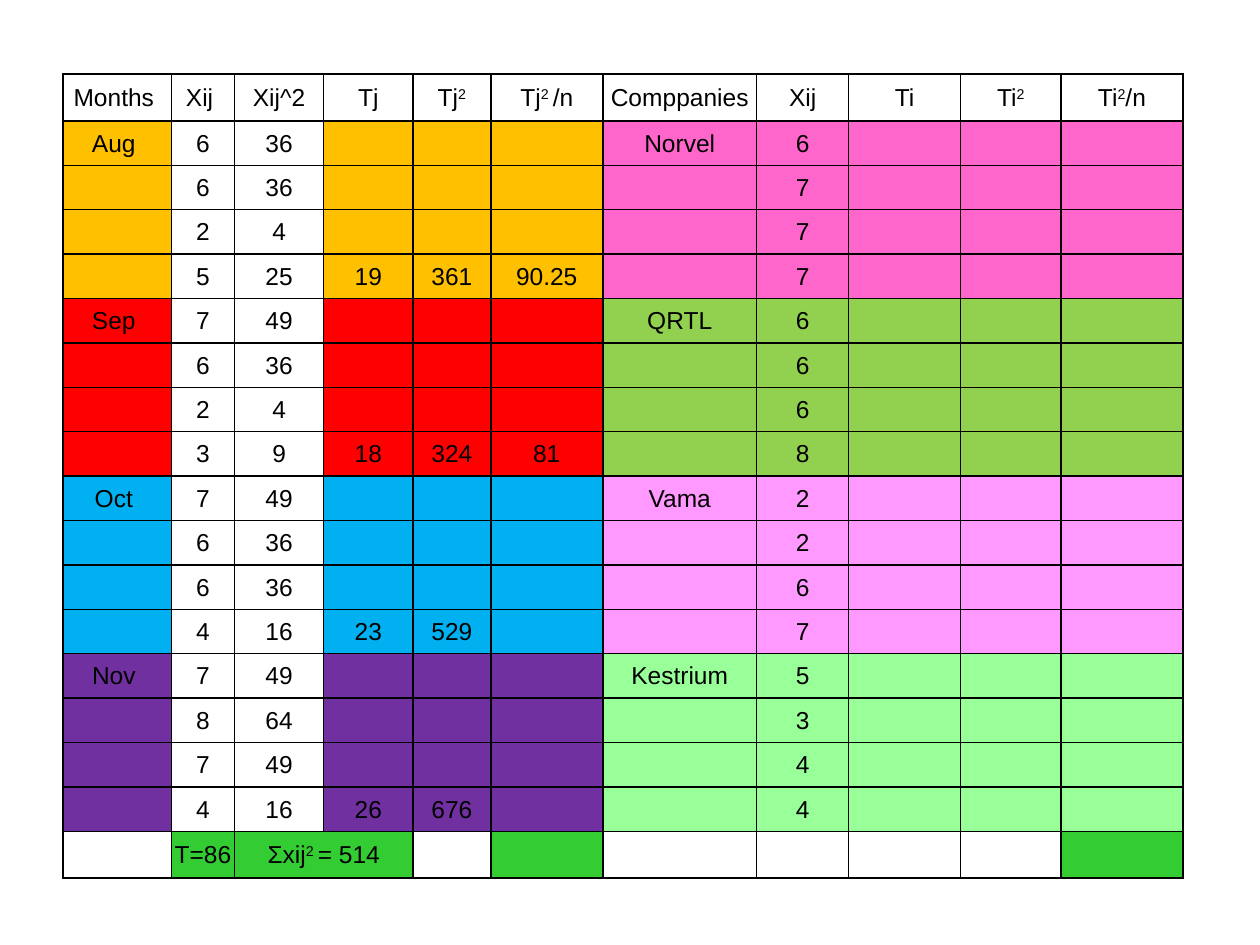
"""Build the slide with the variance table of months and companies."""
from dataclasses import dataclass
from typing import Optional

import lxml.etree
import pptx
import pptx.dml.color
import pptx.enum.text
import pptx.oxml.ns
import pptx.table
import pptx.util

Pt = pptx.util.Pt
BLACK, WHITE, GREEN = "000000", "FFFFFF", "33CC33"
COLUMN_WIDTHS = [62, 36, 51, 51, 44.5, 64, 88, 52.5, 64, 57.5, 69.5]
END_ROW_HEIGHT, BODY_ROW_HEIGHT = 26.7, 25.38
HEADINGS = ["Months ", "Xij ", "Xij^2", "Tj", "Tj|2", "Tj|2 |/n",
            "Comppanies", "Xij", "Ti", "Ti|2", "Ti|2|/n"]
TOTALS = ["", "T=86", "Σxij|2 |= 514"] + [""] * 8
TOTAL_FILLS = [None, GREEN, GREEN, GREEN, None, GREEN,
               None, WHITE, WHITE, WHITE, GREEN]


@dataclass
class Block:
    """One month beside one company, four observations each."""
    month: str
    month_color: str
    month_values: list[int]
    month_totals: list[str]
    company: str
    company_color: str
    company_values: list[int]


BLOCKS = [
    Block("Aug ", "FFC000", [6, 6, 2, 5], ["19", "361", "90.25"],
          "Norvel", "FF66CC", [6, 7, 7, 7]),
    Block("Sep ", "FF0000", [7, 6, 2, 3], ["18", "324", "81"],
          "QRTL", "92D050", [6, 6, 6, 8]),
    Block("Oct ", "00B0F0", [7, 6, 6, 4], ["23", "529", ""],
          "Vama", "FF99FF", [2, 2, 6, 7]),
    Block("Nov ", "7030A0", [7, 8, 7, 4], ["26", "676", ""],
          "Kestrium", "99FF99", [5, 3, 4, 4]),
]


def rgb(color: str) -> pptx.dml.color.RGBColor:
    """Turn a hex string into a colour."""
    return pptx.dml.color.RGBColor.from_string(color)


def add_borders(cell: pptx.table._Cell) -> None:
    """Draw a thin black line on each side of a cell."""
    properties = cell._tc.get_or_add_tcPr()
    for index, side in enumerate(("lnL", "lnR", "lnT", "lnB")):
        line = lxml.etree.Element(pptx.oxml.ns.qn(f"a:{side}"), w=str(Pt(1)))
        fill = lxml.etree.SubElement(line, pptx.oxml.ns.qn("a:solidFill"))
        lxml.etree.SubElement(fill, pptx.oxml.ns.qn("a:srgbClr"), val=BLACK)
        properties.insert(index, line)


def fill_cell(cell: pptx.table._Cell, text: str, color: Optional[str]) -> None:
    """Format a cell; every second part between bars is superscript."""
    cell.margin_left = cell.margin_right = cell.margin_top = Pt(0.7)
    cell.margin_bottom = Pt(0)
    cell.vertical_anchor = pptx.enum.text.MSO_ANCHOR.MIDDLE
    if color:
        cell.fill.solid()
        cell.fill.fore_color.rgb = rgb(color)
    else:
        cell.fill.background()
    add_borders(cell)
    para = cell.text_frame.paragraphs[0]
    para.alignment = pptx.enum.text.PP_ALIGN.CENTER
    para.font.name = "Arial"
    para.font.size = Pt(14)
    para.font.color.rgb = rgb(BLACK)
    for index, part in enumerate(text.split("|") if text else []):
        span = para.add_run()
        span.text = part
        if index % 2:
            span._r.get_or_add_rPr().set("baseline", "30000")


def fill_row(table: pptx.table.Table, row: int, texts: list[str],
             colors: list[Optional[str]]) -> None:
    """Fill one row of the table."""
    for column, (text, color) in enumerate(zip(texts, colors)):
        fill_cell(table.cell(row, column), text, color)


def fill_block(table: pptx.table.Table, first_row: int, block: Block) -> None:
    """Fill the rows of one block, with names first and totals last."""
    last = len(block.month_values) - 1
    colors = ([block.month_color, None, WHITE] + [block.month_color] * 3
              + [block.company_color] * 5)
    pairs = zip(block.month_values, block.company_values)
    for offset, (value, company_value) in enumerate(pairs):
        month, company = (block.month, block.company) if offset == 0 else ("", "")
        totals = block.month_totals if offset == last else [""] * 3
        texts = [month, str(value), str(value ** 2), *totals,
                 company, str(company_value), "", "", ""]
        fill_row(table, first_row + offset, texts, colors)


def main() -> None:
    """Create the deck and save it."""
    deck = pptx.Presentation()
    deck.slide_width, deck.slide_height = Pt(720), Pt(540)
    page = deck.slides.add_slide(deck.slide_layouts[6])
    heights = [END_ROW_HEIGHT] + [BODY_ROW_HEIGHT] * 16 + [END_ROW_HEIGHT]
    table = page.shapes.add_table(
        len(heights), len(COLUMN_WIDTHS), Pt(36), Pt(42.4),
        Pt(sum(COLUMN_WIDTHS)), Pt(sum(heights))).table
    table.first_row = table.horz_banding = False
    for column, width in zip(table.columns, COLUMN_WIDTHS):
        column.width = Pt(width)
    for row, height in zip(table.rows, heights):
        row.height = Pt(height)
    fill_row(table, 0, HEADINGS, [None, None, WHITE] + [None] * 8)
    for index, block in enumerate(BLOCKS):
        fill_block(table, 1 + 4 * index, block)
    fill_row(table, 17, TOTALS, TOTAL_FILLS)
    table.cell(17, 2).merge(table.cell(17, 3))
    deck.save("out.pptx")


if __name__ == "__main__":
    main()
